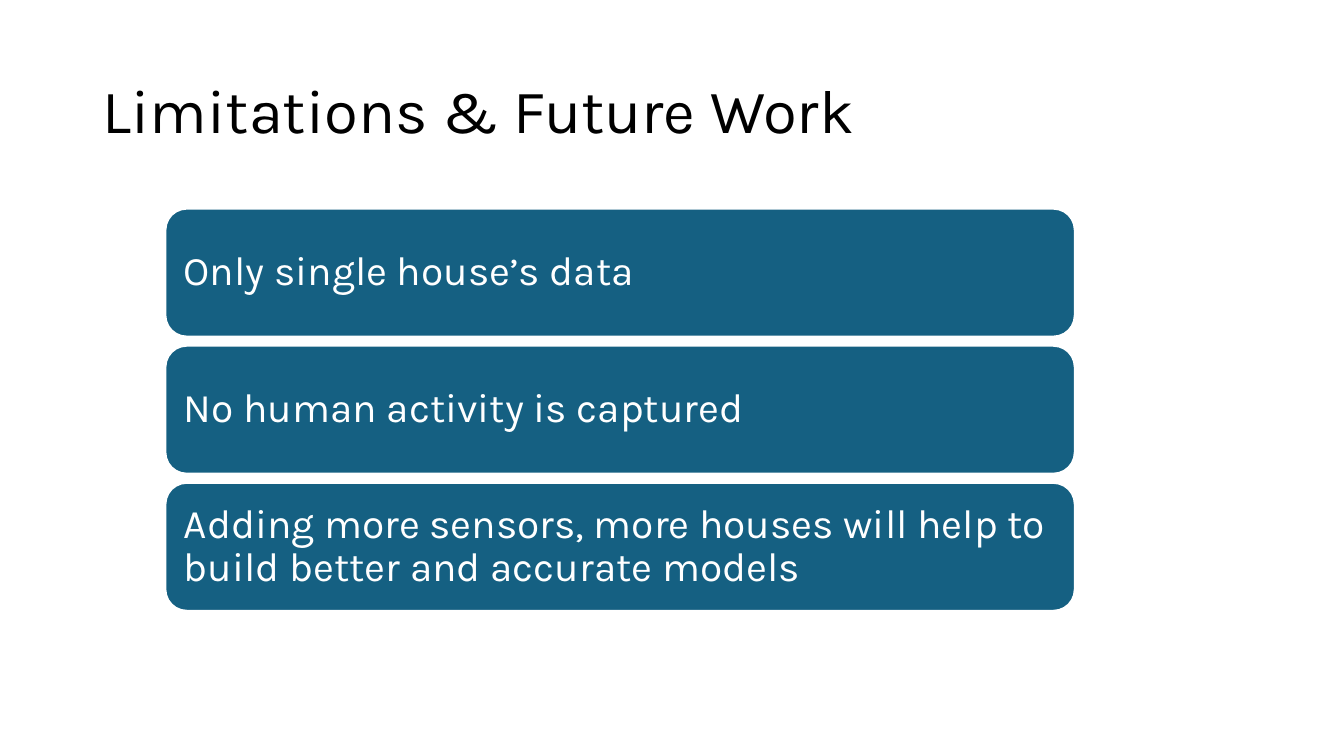
import pptx
import pptx.util
import pptx.dml.color
import pptx.enum.shapes
import pptx.enum.text
from pptx.util import Inches

HEADING = "Limitations & Future Work"
POINTS = [
    "Only single house’s data",
    "No human activity is captured",
    "Adding more sensors, more houses will help to build better and accurate models",
]
COLORS = {"heading": "000000", "card": "156082", "white": "FFFFFF"}
FONT = "Karla"

CARD_LEFT, CARD_TOP = 1.64, 2.07
CARD_WIDTH, CARD_HEIGHT = 9.02, 1.27
CARD_PITCH = 1.36


def rgb(name):
    return pptx.dml.color.RGBColor.from_string(COLORS[name])


def write(shape, text, *, size, color, inset):
    """Put left-aligned, vertically centred text into a shape."""
    frame = shape.text_frame
    frame.word_wrap = True
    frame.auto_size = pptx.enum.text.MSO_AUTO_SIZE.NONE
    frame.vertical_anchor = pptx.enum.text.MSO_ANCHOR.MIDDLE
    frame.margin_left = frame.margin_right = Inches(inset[0])
    frame.margin_top = frame.margin_bottom = Inches(inset[1])
    paragraph = frame.paragraphs[0]
    paragraph.alignment = pptx.enum.text.PP_ALIGN.LEFT
    paragraph.line_spacing = 0.9
    run = paragraph.add_run()
    run.text = text
    run.font.name = FONT
    run.font.size = pptx.util.Pt(size)
    run.font.color.rgb = rgb(color)


def add_card(slide, top, text):
    card = slide.shapes.add_shape(
        pptx.enum.shapes.MSO_SHAPE.ROUNDED_RECTANGLE,
        Inches(CARD_LEFT), Inches(top), Inches(CARD_WIDTH), Inches(CARD_HEIGHT))
    card.shadow.inherit = False
    card.fill.solid()
    card.fill.fore_color.rgb = rgb("card")
    card.line.color.rgb = rgb("white")
    card.line.width = pptx.util.Pt(1.5)
    write(card, text, size=29, color="white", inset=(0.12, 0.12))


def main():
    deck = pptx.Presentation()
    deck.slide_width, deck.slide_height = Inches(13.33), Inches(7.5)
    slide = deck.slides.add_slide(deck.slide_layouts[5])

    heading = slide.shapes.title
    heading.left, heading.top = Inches(0.92), Inches(0.4)
    heading.width, heading.height = Inches(11.5), Inches(1.45)
    write(heading, HEADING, size=44, color="heading", inset=(0.1, 0.05))

    for row, point in enumerate(POINTS):
        add_card(slide, CARD_TOP + row * CARD_PITCH, point)

    deck.save("out.pptx")


if __name__ == "__main__":
    main()
